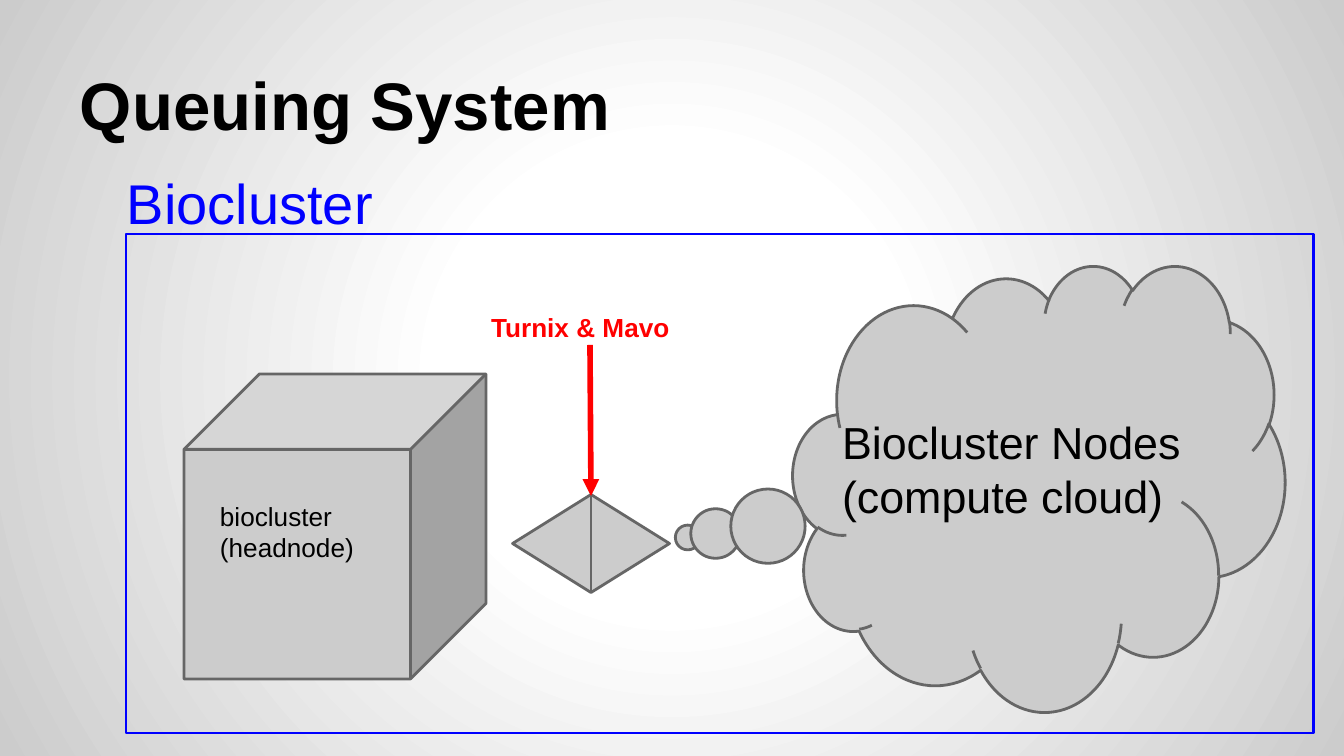
"""Build the Queuing System slide."""
import pptx
import pptx.util
import pptx.dml.color
import pptx.enum.shapes
import pptx.enum.text
import pptx.oxml
import pptx.oxml.ns

THEME = {
    "font": "Arial", "black": "000000", "blue": "0000FF", "red": "FF0000",
    "fill": "CCCCCC", "outline": "666666", "white": "FFFFFF",
    "title": 36, "heading": 30, "body": 24, "label": 14,
    "thin": 1.5, "thick": 3, "inset": 13,
}
SLIDE_SIZE = (1344, 756)
EMU_PER_PIXEL = 914400 / 134.4
KIND = pptx.enum.shapes.MSO_SHAPE
BACKGROUND_STOPS = [(0, "white"), (30, "white"), (100, "fill")]

SHAPES = [
    {"kind": KIND.RECTANGLE, "box": (126, 234, 1188, 499), "fill": None, "line": "blue"},
    {"kind": KIND.CUBE, "box": (184, 374, 302, 305), "adjust": [0.25]},
    {"kind": KIND.CLOUD_CALLOUT, "box": (793, 265, 492, 446), "adjust": [-0.714, 0.111]},
    {"kind": KIND.FLOWCHART_SORT, "box": (542, 465, 98, 157), "rotation": 270},
]
ARROW = ((590, 345), (591, 496))
TEXTS = [
    {"box": (67, 31, 1210, 126), "paragraphs": [["Queuing System"]],
     "size": "title", "bold": True, "anchor": "BOTTOM"},
    {"box": (207, 487, 183, 79), "paragraphs": [["biocluster", "(headnode)"]], "size": "label"},
    {"box": (829, 402, 448, 172), "paragraphs": [["Biocluster Nodes"], ["(compute cloud)"]],
     "size": "body"},
    {"box": (114, 156, 660, 140), "paragraphs": [["Biocluster"]], "size": "heading",
     "color": "blue"},
    {"box": (478, 298, 215, 56), "paragraphs": [["Turnix & Mavo"]], "size": "label",
     "color": "red", "bold": True},
]


def emu(*pixels):
    return [pptx.util.Emu(round(pixel * EMU_PER_PIXEL)) for pixel in pixels]


def color(name):
    return pptx.dml.color.RGBColor.from_string(THEME[name])


def set_line(line, color_name, width_name):
    line.color.rgb = color(color_name)
    line.width = pptx.util.Pt(THEME[width_name])


def add_background(slide):
    slide.background.fill.gradient()
    gradient = slide.element.find(".//" + pptx.oxml.ns.qn("a:gradFill"))
    stops = "".join(
        f'<a:gs pos="{position * 1000}"><a:srgbClr val="{THEME[name]}"/></a:gs>'
        for position, name in BACKGROUND_STOPS)
    source = pptx.oxml.parse_xml(
        f'<a:gradFill {pptx.oxml.ns.nsdecls("a")}><a:gsLst>{stops}</a:gsLst>'
        '<a:path path="circle"><a:fillToRect l="50000" t="50000" r="50000" b="50000"/>'
        '</a:path></a:gradFill>')
    gradient.getparent().replace(gradient, source)


def add_shape(slide, item):
    shape = slide.shapes.add_shape(item["kind"], *emu(*item["box"]))
    shape.shadow.inherit = False
    shape.rotation = item.get("rotation", 0)
    for index, value in enumerate(item.get("adjust", [])):
        shape.adjustments[index] = value
    fill = item.get("fill", "fill")
    if fill:
        shape.fill.solid()
        shape.fill.fore_color.rgb = color(fill)
    else:
        shape.fill.background()
    set_line(shape.line, item.get("line", "outline"), "thin")


def add_arrow(slide, start, end):
    arrow = slide.shapes.add_connector(
        pptx.enum.shapes.MSO_CONNECTOR.STRAIGHT, *emu(*start, *end))
    set_line(arrow.line, "red", "thick")
    namespace = pptx.oxml.ns.nsdecls("a")
    arrow.line._get_or_add_ln().append(
        pptx.oxml.parse_xml(f'<a:tailEnd {namespace} type="triangle"/>'))
    arrow.element.spPr.append(pptx.oxml.parse_xml(f"<a:effectLst {namespace}/>"))


def add_text(slide, item):
    frame = slide.shapes.add_textbox(*emu(*item["box"])).text_frame
    frame.word_wrap = True
    frame.vertical_anchor = pptx.enum.text.MSO_ANCHOR[item.get("anchor", "TOP")]
    for side in ("left", "top", "right", "bottom"):
        setattr(frame, f"margin_{side}", emu(THEME["inset"])[0])
    for index, lines in enumerate(item["paragraphs"]):
        paragraph = frame.add_paragraph() if index else frame.paragraphs[0]
        for position, text in enumerate(lines):
            if position:
                paragraph.add_line_break()
            run = paragraph.add_run()
            run.text = text
            run.font.name = THEME["font"]
            run.font.size = pptx.util.Pt(THEME[item["size"]])
            run.font.bold = item.get("bold", False)
            run.font.color.rgb = color(item.get("color", "black"))


presentation = pptx.Presentation()
presentation.slide_width, presentation.slide_height = emu(*SLIDE_SIZE)
slide = presentation.slides.add_slide(presentation.slide_layouts[6])
add_background(slide)
for shape_item in SHAPES:
    add_shape(slide, shape_item)
add_arrow(slide, *ARROW)
for text_item in TEXTS:
    add_text(slide, text_item)
presentation.save("out.pptx")
